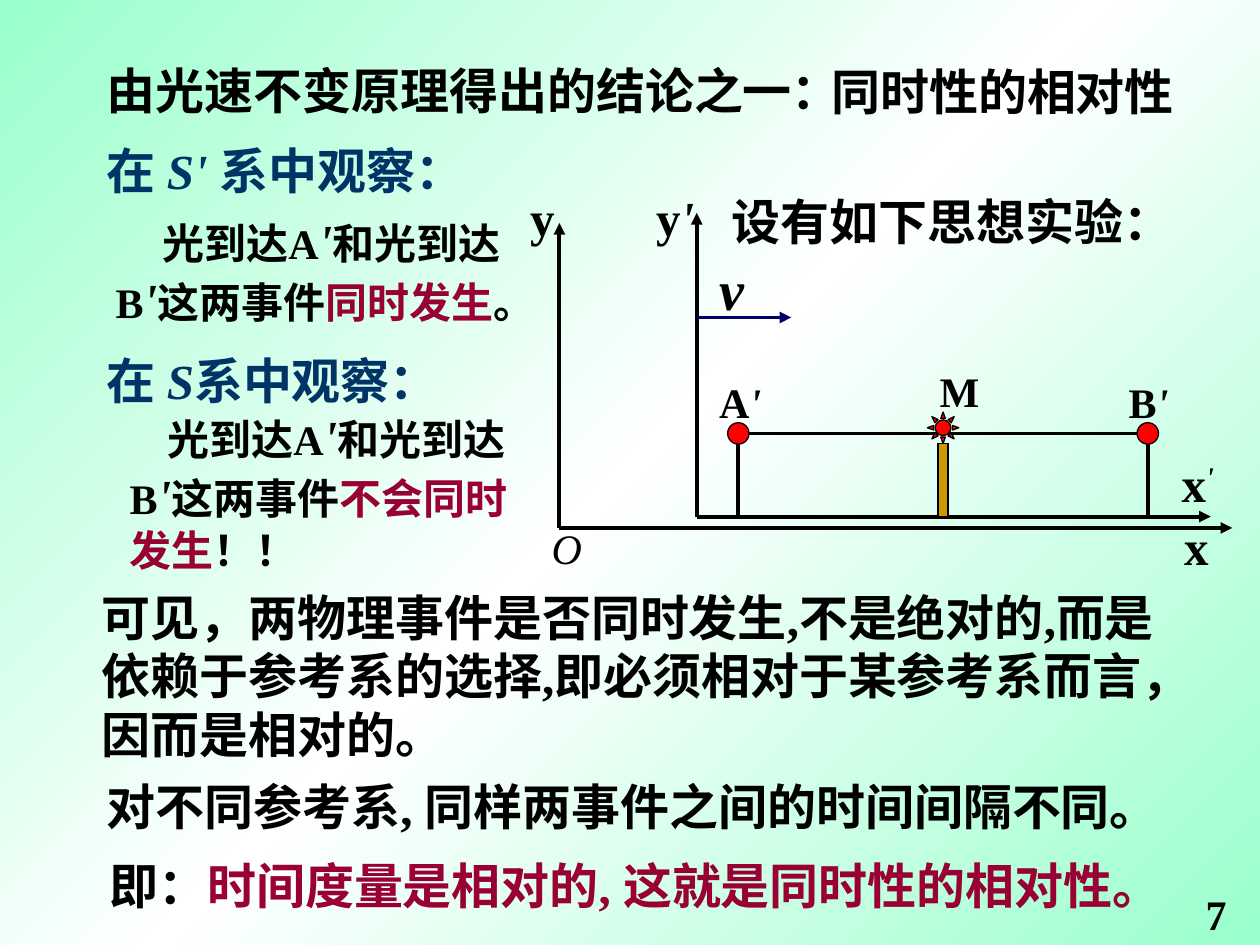
"""Build a slide on the relativity of simultaneity with its two-frame diagram."""
import copy

import pptx
import pptx.dml.color
import pptx.enum.dml
import pptx.enum.shapes
import pptx.enum.text
import pptx.oxml
import pptx.oxml.ns
import pptx.util
from pptx.util import Inches

LATIN, CHINESE = "Times New Roman", "Noto Sans CJK SC"
BLACK, NAVY, BLUE, CRIMSON, RED, GOLD = "000000", "000066", "003366", "990033", "FF0000", "CC9900"
GRADIENT = [(0, "99FFCC"), (0.5, "FFFFFF"), (1, "99FFCC")]

BIG_PRIME = ("'", {"italic": True, "size": 28})
PRIME = ("'", {"italic": True})
RAISED_PRIME = ("'", {"italic": True, "baseline": 30000})
HEADING = {"size": 28, "color": BLUE}
HEADING_ITALIC = {**HEADING, "italic": True}

WRAPPED_TEXTS = [
    ((5.71, 1.47, 3.86, 0.57), 28, 0, [["设有如下思想实验："]]),
    ((9.28, 3.55, 1, 0.57), 28, 0, [["x", RAISED_PRIME]]),
    ((5.61, 2.94, 1.08, 0.5), 24, 0, [["A", PRIME]]),
    ((8.86, 2.94, 0.92, 0.5), 24, 0, [["B", PRIME]]),
    ((0.75, 1.07, 4.49, 0.57), 28, 0,
     [[("在 ", HEADING), ("S' ", HEADING_ITALIC), ("系中观察：", HEADING)]]),
    ((0.93, 3.18, 3.99, 1.43), 24, 0.3,
     [["光到达A", BIG_PRIME, "和光到达"],
      ["B", BIG_PRIME, "这两事件", ("不会同时", {"color": CRIMSON})],
      [("发生", {"color": CRIMSON}), "！！"]]),
    ((0.82, 1.62, 4.33, 1.03), 24, 0.37,
     [["光到达A", BIG_PRIME, "和光到达"],
      ["B", BIG_PRIME, "这两事件", ("同时发生", {"color": CRIMSON}), "。"]]),
    ((0.75, 2.73, 4.49, 0.57), 28, 0,
     [[("在 ", HEADING), ("S", HEADING_ITALIC), ("系中观察：", HEADING)]]),
    ((0.71, 4.61, 9.29, 1.5), 28, 0,
     [["可见，两物理事件是否同时发生,不是绝对的,而是"],
      ["依赖于参考系的选择,即必须相对于某参考系而言，"],
      ["因而是相对的。"]]),
    ((0.75, 6.11, 9.53, 0.57), 28, 0, [["对不同参考系, 同样两事件之间的时间间隔不同。"]]),
    ((0.77, 6.74, 9.43, 0.57), 28, 0,
     [["即：", ("时间度量是相对的, 这就是同时性的相对性。", {"color": CRIMSON})]]),
    ((0.75, 0.43, 7.88, 0.57), 28, 0, [["由光速不变原理得出的结论之一："]]),
    ((6.5, 0.44, 3.7, 0.57), 28, 0, [[("同时性的相对性", {"name": CHINESE})]]),
]
LABELS = [
    ((5.11, 1.44, 0.5, 0.57), 28, ["y", PRIME]),
    ((4.11, 1.44, 0.4, 0.57), 28, ["y"]),
    ((9.3, 4.05, 0.4, 0.57), 28, ["x"]),
    ((7.36, 2.85, 0.52, 0.5), 24, ["M"]),
    ((5.61, 1.97, 0.4, 0.63), 32, [("v", {"italic": True})]),
    ((4.28, 4.1, 0.44, 0.5), 24, [("O", {"italic": True, "bold": False})]),
    ((9.47, 7, 0.37, 0.5), 24, ["7"]),
]

ORIGIN = (4.44, 4.19)
MOVING_ORIGIN = (5.53, 4.1)
A_X, B_X, ROD_Y, RADIUS = 5.86, 9.11, 3.44, 0.085
MIDDLE_X = (A_X + B_X) / 2
LINES = [
    (ORIGIN, (ORIGIN[0], 1.77), BLACK, 2.25, True),
    (ORIGIN, (9.78, ORIGIN[1]), BLACK, 2.25, True),
    (MOVING_ORIGIN, (MOVING_ORIGIN[0], 1.69), BLACK, 2.25, True),
    (MOVING_ORIGIN, (9.61, MOVING_ORIGIN[1]), BLACK, 2.25, True),
    ((MOVING_ORIGIN[0], 2.52), (6.28, 2.52), NAVY, 2.25, True),
    ((A_X, MOVING_ORIGIN[1]), (A_X, ROD_Y), BLACK, 2.25, False),
    ((B_X, MOVING_ORIGIN[1]), (B_X, ROD_Y), BLACK, 2.25, False),
    ((B_X - RADIUS, ROD_Y), (A_X + RADIUS, ROD_Y), BLACK, 1.5, False),
]
KINDS = pptx.enum.shapes.MSO_SHAPE
SHAPES = [
    (KINDS.FLOWCHART_CONNECTOR, A_X, ROD_Y - RADIUS, 2 * RADIUS, 2 * RADIUS, RED),
    (KINDS.FLOWCHART_CONNECTOR, B_X, ROD_Y - RADIUS, 2 * RADIUS, 2 * RADIUS, RED),
    (KINDS.SUN, MIDDLE_X, 3.27, 0.25, 0.25, RED),
    (KINDS.RECTANGLE, MIDDLE_X, 3.52, 0.08, 0.58, GOLD),
]


def rgb(value):
    return pptx.dml.color.RGBColor.from_string(value)


def add_child(parent, tag, **attributes):
    child = pptx.oxml.parse_xml(f"<{tag} {pptx.oxml.ns.nsdecls('a')}/>")
    for name, value in attributes.items():
        child.set(name, value)
    parent.append(child)


def paint_background(slide):
    fill = slide.background.fill
    fill.gradient()
    fill.gradient_angle = 315
    stop_list = fill._fill._gradFill.gsLst
    stop_list.append(copy.deepcopy(stop_list[-1]))
    for stop, (position, color) in zip(fill.gradient_stops, GRADIENT):
        stop.position = position
        stop.color.rgb = rgb(color)


def add_run(paragraph, part, size):
    text, changes = (part, {}) if isinstance(part, str) else part
    values = {"name": LATIN, "size": size, "bold": True, "italic": False, "color": BLACK, **changes}
    run = paragraph.add_run()
    run.text = text
    run.font.color.rgb = rgb(values.pop("color"))
    values["size"] = pptx.util.Pt(values["size"])
    properties = run._r.get_or_add_rPr()
    if "baseline" in values:
        properties.set("baseline", str(values.pop("baseline")))
    for name, value in values.items():
        setattr(run.font, name, value)
    add_child(properties, "a:ea", typeface=CHINESE)


def add_text(slide, place, size, paragraphs, indent=0, wrap=True):
    frame = slide.shapes.add_textbox(*map(Inches, place)).text_frame
    frame.word_wrap = wrap
    frame.auto_size = pptx.enum.text.MSO_AUTO_SIZE.SHAPE_TO_FIT_TEXT
    for number, parts in enumerate(paragraphs):
        paragraph = frame.add_paragraph() if number else frame.paragraphs[0]
        if indent and number == 0:
            paragraph._p.get_or_add_pPr().set("indent", str(Inches(indent)))
        for part in parts:
            add_run(paragraph, part, size)


def add_line(slide, start, end, color, width, arrow):
    line = slide.shapes.add_connector(
        pptx.enum.shapes.MSO_CONNECTOR.STRAIGHT, *map(Inches, start + end))
    line.line.color.rgb = rgb(color)
    line.line.width = pptx.util.Pt(width)
    if arrow:
        add_child(line.line._get_or_add_ln(), "a:tailEnd", type="triangle")
    add_child(line._element.spPr, "a:effectLst")


def add_shape(slide, kind, center, top, width, height, color):
    place = (center - width / 2, top, width, height)
    shape = slide.shapes.add_shape(kind, *map(Inches, place))
    shape.shadow.inherit = False
    shape.fill.solid()
    shape.fill.fore_color.rgb = rgb(color)
    shape.line.color.rgb = rgb(BLACK)
    shape.line.width = pptx.util.Pt(0.75)


def main():
    presentation = pptx.Presentation()
    presentation.slide_width, presentation.slide_height = Inches(10), Inches(7.5)
    slide = presentation.slides.add_slide(presentation.slide_layouts[6])
    paint_background(slide)
    for line in LINES:
        add_line(slide, *line)
    for shape in SHAPES:
        add_shape(slide, *shape)
    for place, size, parts in LABELS:
        add_text(slide, place, size, [parts], wrap=False)
    for place, size, indent, paragraphs in WRAPPED_TEXTS:
        add_text(slide, place, size, paragraphs, indent)
    presentation.save("out.pptx")


if __name__ == "__main__":
    main()
